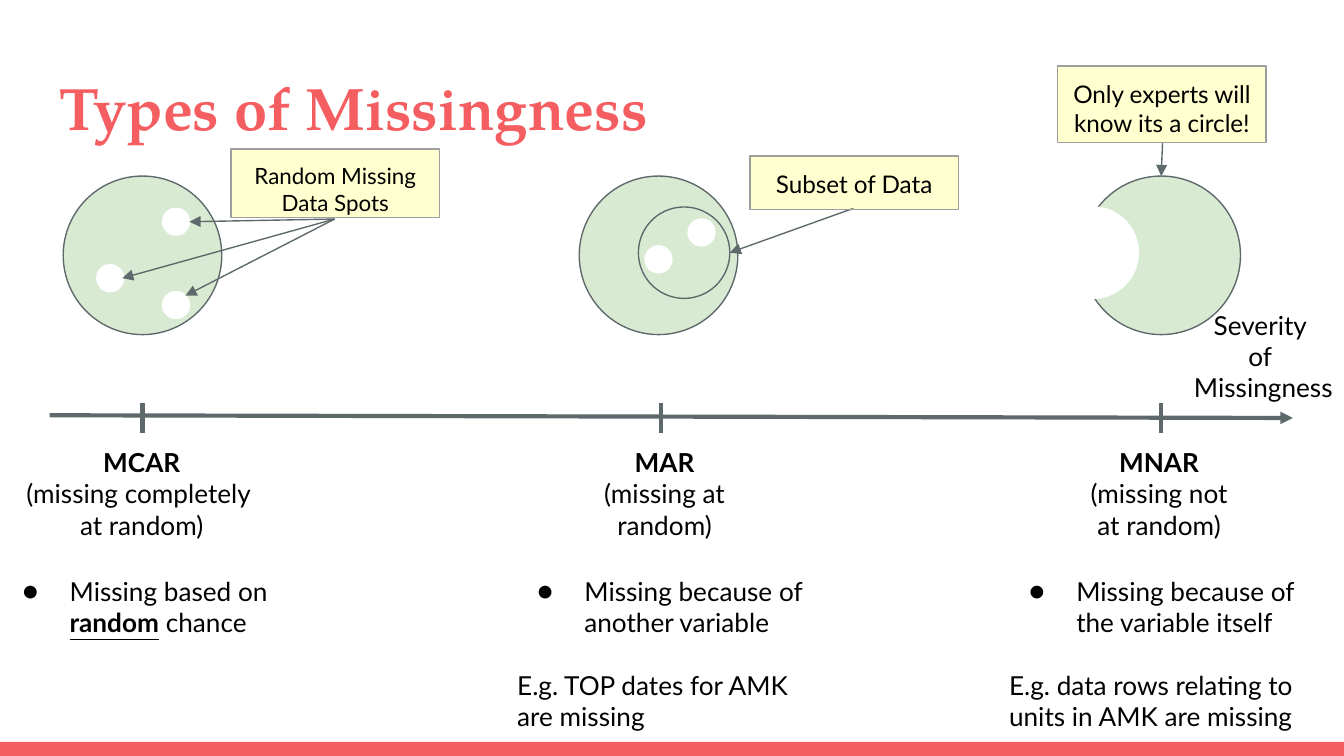
import pptx
import pptx.util
import pptx.dml.color
import pptx.enum.shapes
import pptx.enum.text
import pptx.oxml
import pptx.oxml.ns

Inches = pptx.util.Inches
Pt = pptx.util.Pt
RGBColor = pptx.dml.color.RGBColor
SHAPE = pptx.enum.shapes.MSO_SHAPE
ALIGN = pptx.enum.text.PP_ALIGN
ANCHOR = pptx.enum.text.MSO_ANCHOR
qn = pptx.oxml.ns.qn

CORAL = RGBColor(0xF5, 0x5E, 0x61)
SLATE = RGBColor(0x5E, 0x69, 0x6C)
GREEN = RGBColor(0xD9, 0xEA, 0xD3)
WHITE = RGBColor(0xFF, 0xFF, 0xFF)
YELLOW = RGBColor(0xFF, 0xFF, 0x00)
GRAY = RGBColor(0x9E, 0x9E, 0x9E)
BLACK = RGBColor(0, 0, 0)

TITLE_FONT = {"name": "TeX Gyre Pagella", "size": Pt(32), "bold": True}
FRAME = {"word_wrap": True, "vertical_anchor": ANCHOR.TOP,
         "margin_left": Inches(0.1), "margin_right": Inches(0.1),
         "margin_top": Inches(0.1), "margin_bottom": Inches(0.1)}


def write(shape, paragraphs, size=14, align=ALIGN.CENTER):
    """Fill a shape with paragraphs, each a list of (text, font values) runs."""
    frame = shape.text_frame
    for name, value in FRAME.items():
        setattr(frame, name, value)
    for index, runs in enumerate(paragraphs):
        paragraph = frame.add_paragraph() if index else frame.paragraphs[0]
        paragraph.alignment = align
        for text, values in runs:
            run = paragraph.add_run()
            run.text = text
            run.font.color.rgb = BLACK
            for name, value in {"name": "Lato", "size": Pt(size), **values}.items():
                setattr(run.font, name, value)


def add_line(start, end, width=0.75, arrow=True):
    line = slide.shapes.add_connector(
        pptx.enum.shapes.MSO_CONNECTOR.STRAIGHT,
        *[Inches(value) for value in (*start, *end)])
    line.line.color.rgb = SLATE
    line.line.width = Pt(width)
    if arrow:
        outline = line.line._get_or_add_ln()
        outline.append(outline.makeelement(qn("a:tailEnd"), {"type": "triangle"}))
    properties = line._element.spPr
    properties.append(properties.makeelement(qn("a:effectLst"), {}))


presentation = pptx.Presentation()
presentation.slide_width = Inches(10)
presentation.slide_height = Inches(10 * 9 / 16)
slide = presentation.slides.add_slide(presentation.slide_layouts[5])

footer = slide.shapes.add_shape(
    SHAPE.RECTANGLE, 0, Inches(5.52), Inches(10), Inches(0.11))
footer.shadow.inherit = False
footer.fill.solid()
footer.fill.fore_color.rgb = CORAL
footer.line.fill.background()

title = slide.shapes.title
title.left, title.top, title.width, title.height = (
    Inches(value) for value in (0.34, 0.43, 9.32, 0.68))
write(title, [[("Types of Missingness", TITLE_FONT)]], align=ALIGN.LEFT)
title.text_frame.paragraphs[0].runs[0].font.color.rgb = CORAL

# Severity axis with one tick per type
add_line((0.37, 3.09), (9.62, 3.11), 2.25)
for x in (1.06, 8.64, 4.92):
    add_line((x, 3.22), (x, 3), 2.25, arrow=False)

# Centred labels: left, top, width, height, bold heading, other lines
labels = [
    (0, 3.22, 2.11, 0.68, "MCAR", ["(missing completely ", "at random)"]),
    (4.17, 3.22, 1.55, 0.68, "MAR", ["(missing at random)"]),
    (8.01, 3.22, 1.23, 1.63, "MNAR", ["(missing not at random)"]),
    (7.99, 2.2, 2.82, 0.4, None, ["Severity ", "of ", "Missingness"]),
]
for left, top, width, height, heading, lines in labels:
    label = slide.shapes.add_textbox(
        Inches(left), Inches(top), Inches(width), Inches(height))
    paragraphs = [[(heading, {"bold": True})]] if heading else []
    write(label, paragraphs + [[(line, {})] for line in lines])

# Explanations: left, bulleted runs, example
explanations = [
    (-0.08, [("Missing based on ", {}),
             ("random", {"bold": True, "underline": True}),
             (" chance", {})], None),
    (3.75, [("Missing because of another variable", {})],
     "E.g. TOP dates for AMK are missing"),
    (7.41, [("Missing because of the variable itself", {})],
     "E.g. data rows relating to units in AMK are missing"),
]
for left, reason, example in explanations:
    box = slide.shapes.add_textbox(
        Inches(left), Inches(4.18), Inches(2.47), Inches(2.15))
    write(box, [reason] + ([[(example, {})]] if example else []), align=ALIGN.LEFT)
    properties = box.text_frame.paragraphs[0]._p.get_or_add_pPr()
    properties.set("marL", str(Inches(0.5)))
    properties.set("indent", str(Inches(-0.35)))
    for tag, values in (("a:buFont", {"typeface": "Lato"}), ("a:buChar", {"char": "●"})):
        properties.append(properties.makeelement(qn(tag), values))
    for paragraph in box.text_frame.paragraphs[1:]:
        paragraph.space_before = Pt(16.8)

# Data circles: left, top, diameter, fill, line
DISC, HOLE = 1.18, 0.2
circle_groups = [
    [(0.47, 1.31, DISC, GREEN, SLATE), (1.21, 1.55, HOLE, WHITE, WHITE),
     (0.72, 1.97, HOLE, WHITE, WHITE), (1.21, 2.17, HOLE, WHITE, WHITE)],
    [(8.05, 1.31, DISC, GREEN, SLATE), (7.79, 1.54, 0.68, WHITE, WHITE)],
    [(4.31, 1.31, DISC, GREEN, SLATE), (4.75, 1.54, 0.68, GREEN, SLATE),
     (5.12, 1.63, HOLE, WHITE, WHITE), (4.8, 1.83, HOLE, WHITE, WHITE)],
]
for circles in circle_groups:
    group = slide.shapes.add_group_shape()
    for left, top, diameter, fill, line in circles:
        circle = group.shapes.add_shape(
            SHAPE.OVAL, Inches(left), Inches(top), Inches(diameter), Inches(diameter))
        circle.shadow.inherit = False
        circle.fill.solid()
        circle.fill.fore_color.rgb = fill
        circle.line.color.rgb = line
        circle.line.width = Pt(0.75)

# Callouts: left, top, height, text, size, arrow start, arrow ends
callouts = [
    (5.58, 1.16, 0.4, "Subset of Data", 13, (6.35, 1.55), [(5.43, 1.88)]),
    (1.72, 1.11, 0.51, "Random Missing Data Spots", 12, (2.49, 1.63),
     [(1.38, 2.2), (1.41, 1.65), (0.91, 2.07)]),
    (7.87, 0.49, 0.57, "Only experts will know its a circle!", 13, (8.65, 1.06),
     [(8.64, 1.31)]),
]
for left, top, height, text, size, start, ends in callouts:
    for end in ends:
        add_line(start, end)
    callout = slide.shapes.add_shape(
        SHAPE.RECTANGLE, Inches(left), Inches(top), Inches(1.55), Inches(height))
    callout.shadow.inherit = False
    callout.fill.solid()
    callout.fill.fore_color.rgb = YELLOW
    color = callout._element.spPr.find(qn("a:solidFill"))[0]
    color.append(color.makeelement(qn("a:alpha"), {"val": "19000"}))
    callout.line.color.rgb = GRAY
    callout.line.width = Pt(0.75)
    write(callout, [[(text, {})]], size)

presentation.save("out.pptx")
